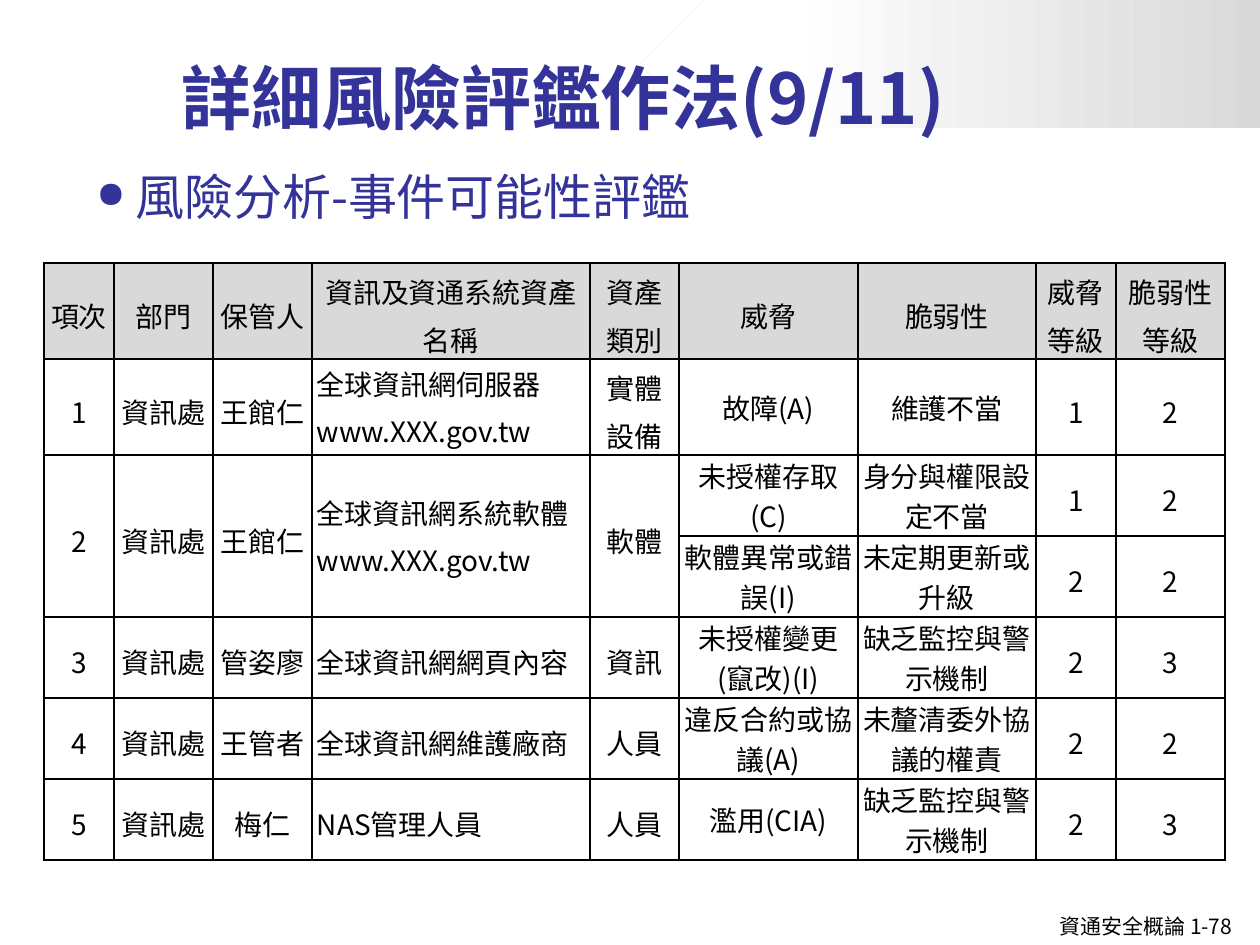
"""Build the slide on rating event likelihood in a detailed risk assessment."""
import dataclasses
import typing

import lxml.etree
import pptx
import pptx.dml.color
import pptx.enum.shapes
import pptx.enum.text
import pptx.oxml.ns
import pptx.util

ALIGN = pptx.enum.text.PP_ALIGN
ANCHOR = pptx.enum.text.MSO_ANCHOR
qn = pptx.oxml.ns.qn


@dataclasses.dataclass(frozen=True)
class Theme:
    heading_font: str = "Noto Sans CJK TC"
    body_font: str = "Noto Sans CJK SC"
    accent: str = "333399"
    ink: str = "000000"
    shade: str = "D9D9D9"
    paper: str = "FFFFFF"
    title_size: int = 40
    topic_size: int = 28
    table_size: int = 16
    footer_size: int = 12
    bullet_percent: int = 75
    loose: float = 1.2
    gap: int = 2


@dataclasses.dataclass(frozen=True)
class Box:
    left: int
    top: int
    width: int
    height: int


class Risk(typing.NamedTuple):
    threat: str
    weakness: str
    threat_level: str
    weakness_level: str


class Asset(typing.NamedTuple):
    number: str
    department: str
    keeper: str
    name: str
    category: str
    risks: tuple[Risk, ...]


THEME = Theme()
PX_PER_INCH = 126
COLUMN_WIDTHS = (70, 99, 99, 278, 89, 179, 178, 80, 109)
TALL_ROW, ROW = 96, 81
NAME_COLUMN = 3
RISK_COLUMN = 5
TIGHT_COLUMNS = (5, 6)
HEADINGS = ("項次", "部門", "保管人", "資訊及資通系統資產名稱", "資產類別",
            "威脅", "脆弱性", "威脅等級", "脆弱性等級")
ASSETS = (
    Asset("1", "資訊處", "王館仁", "全球資訊網伺服器\nwww.XXX.gov.tw", "實體設備",
          (Risk("故障(A)", "維護不當", "1", "2"),)),
    Asset("2", "資訊處", "王館仁", "全球資訊網系統軟體\nwww.XXX.gov.tw", "軟體",
          (Risk("未授權存取(C)", "身分與權限設定不當", "1", "2"),
           Risk("軟體異常或錯誤(I)", "未定期更新或升級", "2", "2"))),
    Asset("3", "資訊處", "管姿廖", "全球資訊網網頁內容", "資訊",
          (Risk("未授權變更(竄改)(I)", "缺乏監控與警示機制", "2", "3"),)),
    Asset("4", "資訊處", "王管者", "全球資訊網維護廠商", "人員",
          (Risk("違反合約或協議(A)", "未釐清委外協議的權責", "2", "2"),)),
    Asset("5", "資訊處", "梅仁", "NAS管理人員", "人員",
          (Risk("濫用(CIA)", "缺乏監控與警示機制", "2", "3"),)),
)


def px(length: int) -> int:
    return round(length * pptx.util.Inches(1) / PX_PER_INCH)


def place(box: Box) -> tuple[int, ...]:
    return tuple(px(length) for length in dataclasses.astuple(box))


def rgb(color: str) -> pptx.dml.color.RGBColor:
    return pptx.dml.color.RGBColor.from_string(color)


def style_text(frame, size: int, color: str, font: str, bold: bool = False) -> None:
    for paragraph in frame.paragraphs:
        for run in paragraph.runs:
            run.font.size = pptx.util.Pt(size)
            run.font.bold = bold
            run.font.name = font
            run.font.color.rgb = rgb(color)
            east_asian = lxml.etree.Element(qn("a:ea"), typeface=font)
            run.font._element.find(qn("a:latin")).addnext(east_asian)


def space_paragraphs(frame, line_spacing: float) -> None:
    for index, paragraph in enumerate(frame.paragraphs):
        paragraph.line_spacing = line_spacing
        paragraph.space_before = pptx.util.Pt(THEME.gap if index else 0)
        paragraph.space_after = pptx.util.Pt(THEME.gap)


def add_text(slide, box: Box, text: str, size: int, color: str, font: str,
             bold: bool = False, wrap: bool = True, anchor=ANCHOR.TOP):
    frame = slide.shapes.add_textbox(*place(box)).text_frame
    frame.word_wrap = wrap
    frame.vertical_anchor = anchor
    frame.text = text
    style_text(frame, size, color, font, bold)
    return frame


def add_bullet(paragraph, indent: int) -> None:
    properties = paragraph._p.get_or_add_pPr()
    properties.set("marL", str(px(indent)))
    properties.set("indent", str(-px(indent)))
    lxml.etree.SubElement(properties, qn("a:buSzPct"),
                          val=str(THEME.bullet_percent * 1000))
    lxml.etree.SubElement(properties, qn("a:buChar"), char="●")


def add_banner(slide, box: Box) -> None:
    banner = slide.shapes.add_shape(
        pptx.enum.shapes.MSO_SHAPE.PENTAGON, *place(box))
    banner._element.spPr.find(qn("a:xfrm")).set("flipH", "1")
    banner.shadow.inherit = False
    banner.line.fill.background()
    banner.fill.gradient()
    banner.fill.gradient_angle = 0
    stops = ((0, THEME.shade), (0.77, THEME.paper))
    for stop, (position, color) in zip(banner.fill.gradient_stops, stops):
        stop.position = position
        stop.color.rgb = rgb(color)


def add_borders(cell) -> None:
    properties = cell._tc.get_or_add_tcPr()
    for side in ("a:lnL", "a:lnR", "a:lnT", "a:lnB"):
        border = lxml.etree.SubElement(properties, qn(side), w=str(pptx.util.Pt(1)))
        fill = lxml.etree.SubElement(border, qn("a:solidFill"))
        lxml.etree.SubElement(fill, qn("a:srgbClr"), val=THEME.ink)


def fill_cell(cell, text: str, line_spacing: float, align) -> None:
    cell.vertical_anchor = ANCHOR.MIDDLE
    cell.margin_left = cell.margin_right = px(5)
    cell.margin_top = cell.margin_bottom = 0
    cell.text_frame.text = text
    space_paragraphs(cell.text_frame, line_spacing)
    for paragraph in cell.text_frame.paragraphs:
        paragraph.alignment = align
    style_text(cell.text_frame, THEME.table_size, THEME.ink, THEME.body_font)


def add_risk_table(slide, left: int, top: int) -> None:
    heights = [TALL_ROW, TALL_ROW] + [ROW] * sum(len(a.risks) for a in ASSETS[1:])
    box = Box(left, top, sum(COLUMN_WIDTHS), sum(heights))
    table = slide.shapes.add_table(
        len(heights), len(COLUMN_WIDTHS), *place(box)).table
    table.first_row = table.horz_banding = False
    for column, width in zip(table.columns, COLUMN_WIDTHS):
        column.width = px(width)
    for row, height in zip(table.rows, heights):
        row.height = px(height)
    for cell in table.iter_cells():
        add_borders(cell)
        cell.fill.background()
    for column, heading in enumerate(HEADINGS):
        cell = table.cell(0, column)
        fill_cell(cell, heading, THEME.loose, ALIGN.CENTER)
        cell.fill.solid()
        cell.fill.fore_color.rgb = rgb(THEME.shade)
    first = 1
    for asset in ASSETS:
        last = first + len(asset.risks) - 1
        for column, text in enumerate(asset[:RISK_COLUMN]):
            cell = table.cell(first, column)
            if last > first:
                cell.merge(table.cell(last, column))
            fill_cell(cell, text, 1.0 if "\n" in text else THEME.loose,
                      ALIGN.LEFT if column == NAME_COLUMN else ALIGN.CENTER)
        for row, risk in enumerate(asset.risks, first):
            for column, text in enumerate(risk, RISK_COLUMN):
                spacing = 1.0 if column in TIGHT_COLUMNS else THEME.loose
                fill_cell(table.cell(row, column), text, spacing, ALIGN.CENTER)
        first = last + 1


def main() -> None:
    deck = pptx.Presentation()
    deck.slide_width, deck.slide_height = px(1260), px(945)
    slide = deck.slides.add_slide(deck.slide_layouts[6])
    add_text(slide, Box(1047, 907, 213, 38), "資通安全概論 1-78",
             THEME.footer_size, THEME.ink, THEME.body_font, wrap=False)
    add_banner(slide, Box(640, 0, 620, 128))
    add_text(slide, Box(169, 17, 1028, 128), "詳細風險評鑑作法(9/11)",
             THEME.title_size, THEME.accent, THEME.heading_font,
             bold=True, anchor=ANCHOR.BOTTOM)
    topic = add_text(slide, Box(84, 149, 1113, 721), "風險分析-事件可能性評鑑",
                     THEME.topic_size, THEME.accent, THEME.body_font)
    add_bullet(topic.paragraphs[0], 39)
    space_paragraphs(topic, THEME.loose)
    add_risk_table(slide, 44, 263)
    deck.save("out.pptx")


if __name__ == "__main__":
    main()
